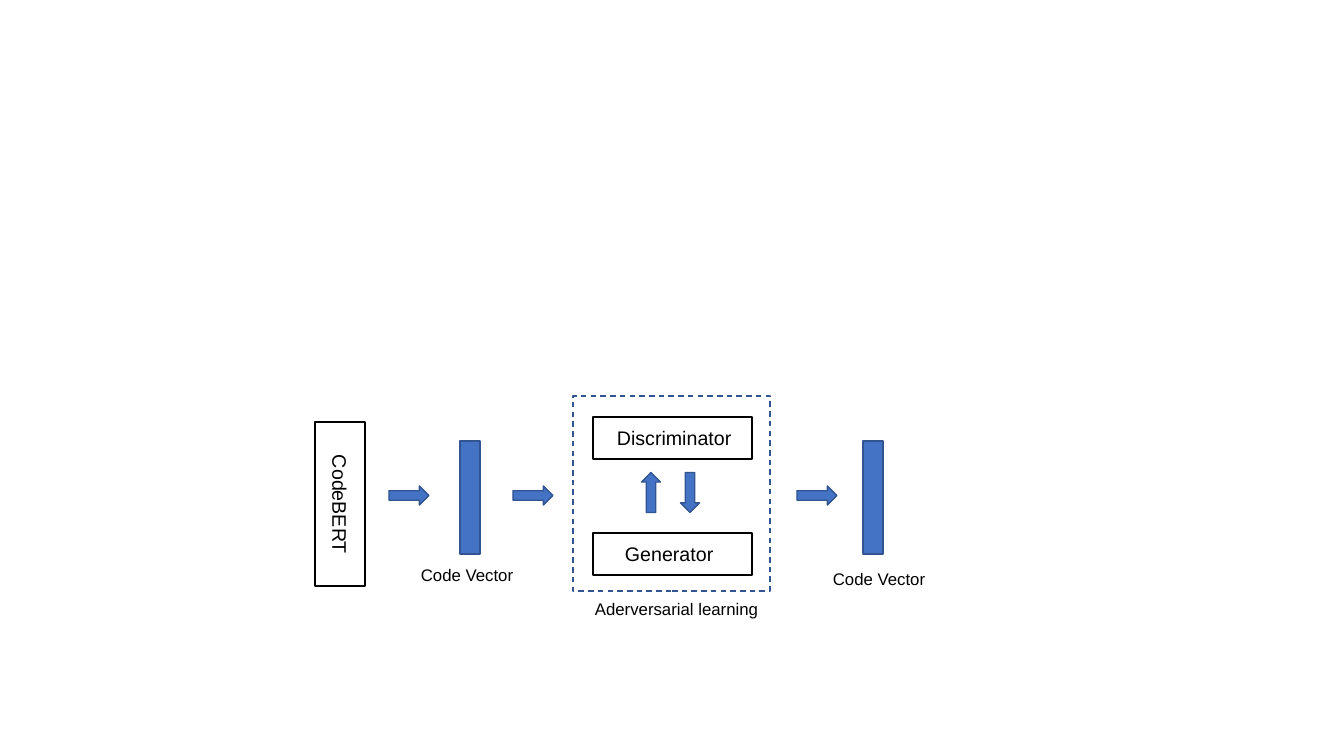
import pptx
import pptx.util
import pptx.dml.color
import pptx.enum.dml
import pptx.enum.shapes

SCALE = 914400 / 100.8
BLACK = pptx.dml.color.RGBColor(0x00, 0x00, 0x00)
BLUE = pptx.dml.color.RGBColor(0x44, 0x72, 0xC4)
DARK_BLUE = pptx.dml.color.RGBColor(0x32, 0x54, 0x91)
SHAPES = pptx.enum.shapes.MSO_SHAPE
ARROW_W, ARROW_H = 40, 19


def emu(*lengths):
    return [round(v * SCALE) for v in lengths]


def add_text(s, text, x, y, w, h, size=12, rotation=0):
    sp = s.shapes.add_textbox(*emu(x, y, w, h))
    sp.rotation = rotation
    tf = sp.text_frame
    tf.word_wrap = True
    r = tf.paragraphs[0].add_run()
    r.text = text
    r.font.name = "Arial"
    r.font.size = pptx.util.Pt(size)
    r.font.color.rgb = BLACK


def add_box(s, x, y, w, h, kind=SHAPES.RECTANGLE, fill=None, line=DARK_BLUE,
            dash=None, rotation=0):
    sp = s.shapes.add_shape(kind, *emu(x, y, w, h))
    sp.shadow.inherit = False
    sp.rotation = rotation
    if fill is None:
        sp.fill.background()
    else:
        sp.fill.solid()
        sp.fill.fore_color.rgb = fill
    sp.line.color.rgb = line
    sp.line.width = pptx.util.Pt(1)
    if dash is not None:
        sp.line.dash_style = dash


def add_arrow(s, x, y, rotation=0):
    add_box(s, x, y, ARROW_W, ARROW_H, kind=SHAPES.RIGHT_ARROW, fill=BLUE,
            rotation=rotation)


def add_encoder(s, x, y, w, h):
    # Box and label are laid out flat, then turned about their centres
    cx, cy = x + w / 2, y + h / 2
    add_box(s, cx - h / 2, cy - w / 2, h, w, line=BLACK, rotation=90)
    add_text(s, "CodeBERT", cx - 67, cy - 9, 134, 34, size=14, rotation=90)


def add_code_vector(s, x, y, w, h, label_dx, label_dy):
    add_box(s, x, y, w, h, fill=BLUE)
    add_text(s, "Code Vector", x + label_dx, y + h + label_dy, 175, 30)


def add_adversarial(s, x, y, w, h):
    # Two networks, one above the other
    box_x, box_w, box_h = x + 20, w - 38, 42
    networks = [("Discriminator", 21, 14, 140), ("Generator", 137, 22, 113)]
    for name, dy, text_dx, text_w in networks:
        add_box(s, box_x, y + dy, box_w, box_h, line=BLACK)
        add_text(s, name, box_x + text_dx, y + dy + 4, text_w, 34, size=14)

    # Exchange between the networks
    for i, rotation in enumerate((270, 90)):
        add_arrow(s, x + 58 + 39 * i, y + 87, rotation=rotation)

    # Dashed frame and caption
    add_box(s, x, y, w, h, dash=pptx.enum.dml.MSO_LINE.DASH)
    add_text(s, "Aderversarial learning", x + 12, y + h + 3, 238, 30)


prs = pptx.Presentation()
prs.slide_width, prs.slide_height = emu(1344, 756)
s = prs.slides.add_slide(prs.slide_layouts[6])

# Stages from left to right
add_encoder(s, 315, 422, 50, 164)
add_code_vector(s, 460, 441, 20, 113, label_dx=-49, label_dy=6)
add_adversarial(s, 573, 396, 197, 195)
add_code_vector(s, 863, 441, 20, 113, label_dx=-40, label_dy=10)

# Flow between stages
for arrow_x in (389, 513, 797):
    add_arrow(s, arrow_x, 486)

prs.save("out.pptx")
